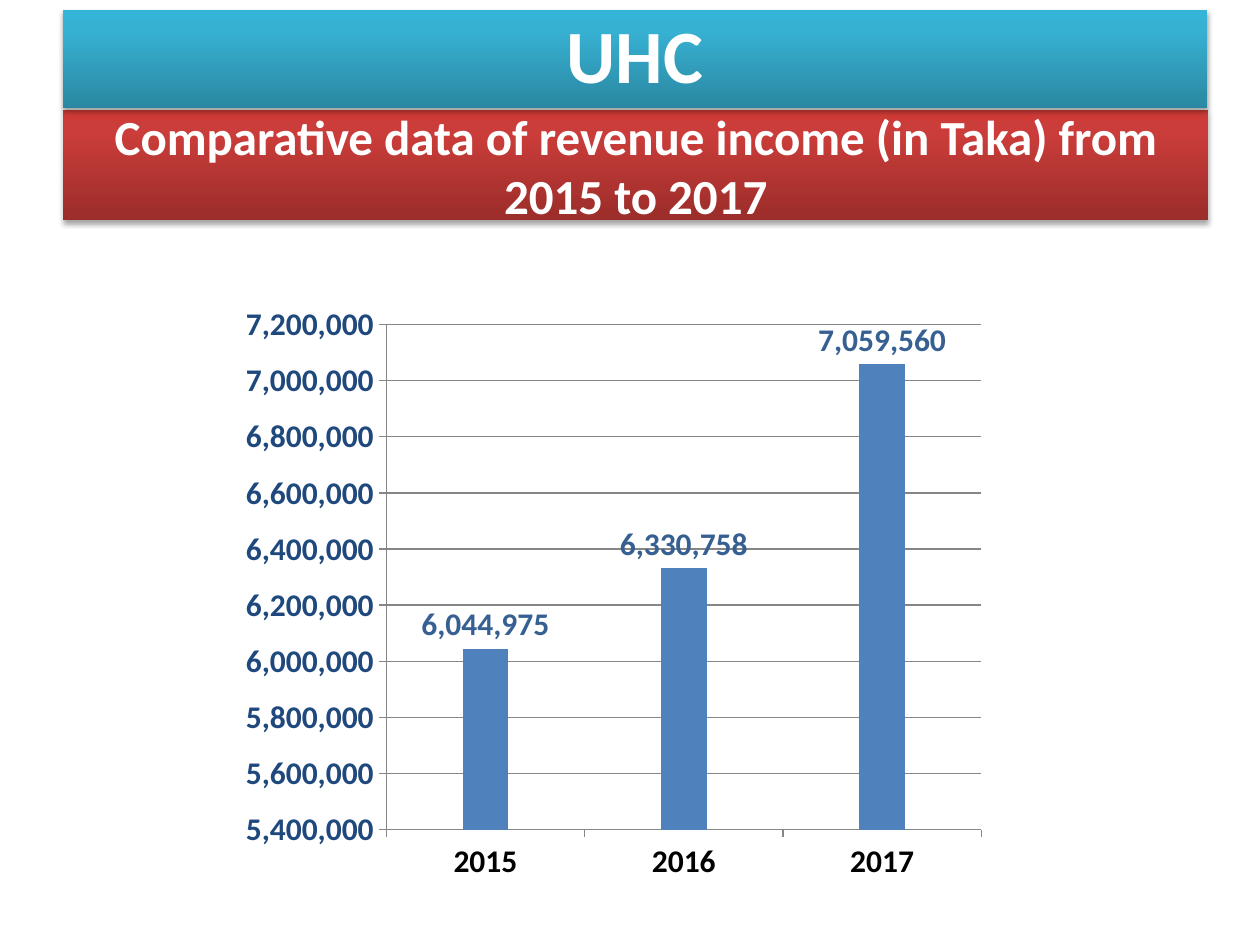
from dataclasses import dataclass
from lxml import etree
from pptx import Presentation
from pptx.chart.data import CategoryChartData
from pptx.dml.color import RGBColor as RGB
from pptx.enum.chart import XL_CHART_TYPE as ChartType, XL_LABEL_POSITION as LabelPos, XL_TICK_MARK as Tick
from pptx.enum.shapes import MSO_SHAPE as Shape
from pptx.enum.text import MSO_ANCHOR as Anchor, PP_ALIGN as Align
from pptx.oxml import parse_xml
from pptx.util import Inches, Pt

NS = "http://schemas.openxmlformats.org/drawingml/2006/main"


@dataclass(frozen=True)
class Theme:
    """Colours and type sizes of the slide."""
    font: str = "Calibri"
    white: str = "FFFFFF"
    black: str = "000000"
    blue: tuple = ("2A88A2", "37B1D2", "34B4D6")
    red: tuple = ("9B2D2A", "CB3D3A", "CE3B37")
    bar: str = "4F81BD"
    label: str = "376092"
    axis: str = "1F497D"
    grid: str = "868686"
    heading: float = 43
    title: float = 28
    chart: float = 18


THEME = Theme()


def style_font(font, size, color, bold=True):
    """Set the typeface, size, colour and weight of a font."""
    font.name, font.size, font.bold = THEME.font, Pt(size), bold
    font.color.rgb = RGB.from_string(color)


def add_gradient_and_shadow(sp, colors):
    """Give a shape an upward gradient and a soft shadow below it."""
    sp.fill.background()
    sp.shadow.inherit = False
    spPr = sp._element.spPr
    stops = "".join(
        f'<a:gs pos="{pos}000"><a:srgbClr val="{color}"/></a:gs>'
        for pos, color in zip((0, 80, 100), colors))
    grad = parse_xml(
        f'<a:gradFill xmlns:a="{NS}" rotWithShape="1"><a:gsLst>{stops}</a:gsLst>'
        '<a:lin ang="16200000" scaled="0"/></a:gradFill>')
    spPr.replace(spPr.find(f"{{{NS}}}noFill"), grad)
    shadow = etree.SubElement(
        spPr.find(f"{{{NS}}}effectLst"), f"{{{NS}}}outerShdw",
        blurRad=str(Pt(3.1)), dist=str(Pt(1.8)), dir="5400000", rotWithShape="0")
    color = etree.SubElement(shadow, f"{{{NS}}}srgbClr", val=THEME.black)
    etree.SubElement(color, f"{{{NS}}}alpha", val="35000")


def add_banner(s, text, top, width, height, colors, size, spacing=1.0):
    """Add a gradient bar with centred bold text."""
    sp = s.shapes.add_shape(Shape.RECTANGLE, Inches(0.5), Inches(top), Inches(width), Inches(height))
    add_gradient_and_shadow(sp, colors)
    sp.line.fill.background()
    tf = sp.text_frame
    tf.word_wrap, tf.vertical_anchor = True, Anchor.MIDDLE
    p = tf.paragraphs[0]
    p.text, p.alignment, p.line_spacing = text, Align.CENTER, spacing
    style_font(p.font, size, THEME.white)


def style_axis(axis, color):
    """Set the text, line and tick marks of an axis."""
    style_font(axis.tick_labels.font, THEME.chart, color)
    axis.format.line.color.rgb = RGB.from_string(THEME.grid)
    axis.major_tick_mark, axis.minor_tick_mark = Tick.OUTSIDE, Tick.NONE


def add_income_chart(s):
    """Add the column chart of yearly revenue income."""
    data = CategoryChartData(number_format="#,##0")
    data.categories = ["2015", "2016", "2017"]
    data.add_series("Series 1", (6044975, 6330758, 7059560))
    chart = s.shapes.add_chart(
        ChartType.COLUMN_CLUSTERED, Inches(1.83), Inches(2.33), Inches(6.08), Inches(4.75), data).chart
    chart.has_legend = chart.has_title = False
    style_font(chart.font, THEME.chart, THEME.black, bold=False)
    style_axis(chart.category_axis, THEME.black)

    axis = chart.value_axis
    style_axis(axis, THEME.axis)
    axis.minimum_scale, axis.maximum_scale, axis.major_unit = 5400000, 7200000, 200000
    axis.tick_labels.number_format, axis.tick_labels.number_format_is_linked = "#,##0", False
    axis.has_major_gridlines = True
    axis.major_gridlines.format.line.color.rgb = RGB.from_string(THEME.grid)

    plot = chart.plots[0]
    plot.gap_width, plot.vary_by_categories = 335, False
    fill = plot.series[0].format.fill
    fill.solid()
    fill.fore_color.rgb = RGB.from_string(THEME.bar)
    plot.has_data_labels = True
    labels = plot.data_labels
    labels.show_value, labels.position = True, LabelPos.OUTSIDE_END
    labels.number_format, labels.number_format_is_linked = "#,##0", False
    style_font(labels.font, THEME.chart, THEME.label)


def main():
    """Build the slide and save it."""
    prs = Presentation()
    prs.slide_width, prs.slide_height = Inches(10), Inches(7.5)
    s = prs.slides.add_slide(prs.slide_layouts[6])
    add_banner(s, "Comparative data of revenue income (in Taka) from 2015 to 2017",
               0.87, 9.09, 0.88, THEME.red, THEME.title)
    add_income_chart(s)
    add_banner(s, "UHC", 0.08, 9.08, 0.78, THEME.blue, THEME.heading, 0.9)
    prs.save("out.pptx")


if __name__ == "__main__":
    main()
